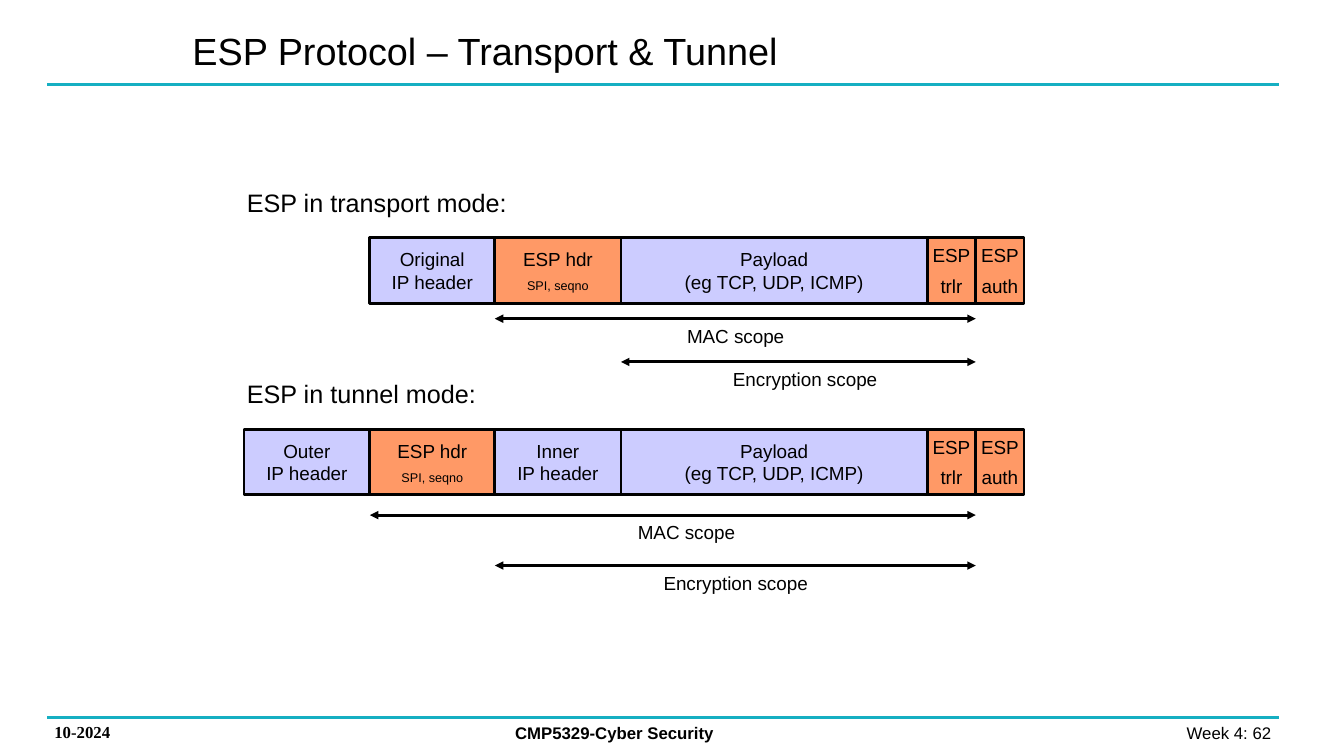
from pptx import Presentation
from pptx.dml.color import RGBColor
from pptx.enum.shapes import MSO_CONNECTOR, MSO_SHAPE
from pptx.enum.text import MSO_ANCHOR as Anchor, PP_ALIGN as Align
from pptx.oxml.ns import qn
from pptx.util import Cm, Pt
from lxml.etree import SubElement

BLACK = RGBColor(0x00, 0x00, 0x00)
TEAL = RGBColor(0x16, 0xAF, 0xC2)
ORANGE = RGBColor(0xFF, 0x99, 0x66)
LAVENDER = RGBColor(0xCC, 0xCC, 0xFF)

# Packet field boundaries, left to right, in cm
EDGES = [6.15, 9.32, 12.47, 15.65, 23.37, 24.59, 25.81]
FIELD_HEIGHT = 1.65
LABEL_WIDTH = 10.72

ESP_HEADER = (ORANGE, [("ESP hdr", 13.5, 0), ("SPI, seqno", 9, 5.2)])


def ip_header(kind):
    return LAVENDER, [(kind, 13.5, 0), ("IP header", 13.5, 0)]


def esp_end(kind):
    return ORANGE, [("ESP", 13.5, 0), (kind, 13.5, 5.4)]


PACKET_END = [
    (LAVENDER, [("Payload", 13.5, 0), ("(eg TCP, UDP, ICMP)", 13.5, 0)]),
    esp_end("trlr"),
    esp_end("auth"),
]

# Heading, top of the fields, first edge, fields,
# scopes (name, first edge, y, label centre)
MODES = [
    ("ESP in transport mode:", 5.99, 1,
     [ip_header("Original"), ESP_HEADER, *PACKET_END],
     [("MAC scope", 2, 8.03, 18.54), ("Encryption scope", 3, 9.12, 20.29)]),
    ("ESP in tunnel mode:", 10.82, 0,
     [ip_header("Outer"), ESP_HEADER, ip_header("Inner"), *PACKET_END],
     [("MAC scope", 1, 12.98, 17.3), ("Encryption scope", 2, 14.25, 18.54)]),
]


class SlideBuilder:
    def __init__(self, slide):
        self.slide = slide

    def set_lines(self, shape, lines, align, anchor, wrap=True, **font):
        """Fill a shape with lines of (text, size, space before)."""
        frame = shape.text_frame
        frame.word_wrap = wrap
        frame.vertical_anchor = anchor
        style = {"name": "Arial", "bold": False, **font}
        for index, (text, size, space) in enumerate(lines):
            paragraph = frame.add_paragraph() if index else frame.paragraphs[0]
            paragraph.alignment = align
            paragraph.space_before = Pt(space)
            run = paragraph.add_run()
            run.text = text
            run.font.color.rgb = BLACK
            for key, value in {**style, "size": Pt(size)}.items():
                setattr(run.font, key, value)

    def text(self, text, left, top, width, height, size,
             align=Align.LEFT, anchor=Anchor.TOP, **font):
        box = self.slide.shapes.add_textbox(
            Cm(left), Cm(top), Cm(width), Cm(height))
        self.set_lines(box, [(text, size, 0)], align, anchor, **font)

    def field(self, left, right, top, fill, lines):
        shape = self.slide.shapes.add_shape(
            MSO_SHAPE.RECTANGLE, Cm(left), Cm(top),
            Cm(right - left), Cm(FIELD_HEIGHT))
        shape.shadow.inherit = False
        shape.fill.solid()
        shape.fill.fore_color.rgb = fill
        shape.line.color.rgb = BLACK
        shape.line.width = Pt(2)
        self.set_lines(shape, lines, Align.CENTER, Anchor.MIDDLE, wrap=False)

    def line(self, left, right, y, color, width, arrows=False):
        connector = self.slide.shapes.add_connector(
            MSO_CONNECTOR.STRAIGHT, Cm(left), Cm(y), Cm(right), Cm(y))
        connector.line.color.rgb = color
        connector.line.width = Pt(width)
        properties = connector._element.spPr
        if arrows:
            outline = properties.find(qn("a:ln"))
            for end in ("a:headEnd", "a:tailEnd"):
                SubElement(outline, qn(end), type="triangle")
        SubElement(properties, qn("a:effectLst"))

    def scope(self, name, left, right, y, center):
        """Draw a double arrow with its name below."""
        self.line(left, right, y, BLACK, 2, arrows=True)
        self.text(name, center - LABEL_WIDTH / 2, y + 0.02,
                  LABEL_WIDTH, 0.84, 13.5, Align.CENTER)

    def mode(self, heading, top, first, fields, scopes):
        self.text(heading, 5.97, top - 1.4, 9.14, 1.02, 18)
        bounds = EDGES[first:]
        for left, right, (fill, lines) in zip(bounds, bounds[1:], fields):
            self.field(left, right, top, fill, lines)
        for name, start, y, center in scopes:
            self.scope(name, EDGES[start], EDGES[-2], y, center)


def main():
    presentation = Presentation()
    presentation.slide_width = Cm(33.87)
    presentation.slide_height = Cm(19.05)
    builder = SlideBuilder(
        presentation.slides.add_slide(presentation.slide_layouts[6]))

    for y in (2.13, 18.08):
        builder.line(1.19, 32.23, y, TEAL, 2.25)
    builder.text("10-2024", 1.12, 18.06, 4.52, 0.76, 12,
                 name="Times New Roman", bold=True)
    builder.text("CMP5329-Cyber Security", 12.73, 18.08, 10.39, 0.76, 12,
                 bold=True)
    builder.text("Week 4: 62", 24.94, 18.08, 7.35, 0.76, 12, Align.RIGHT)
    builder.text("ESP Protocol – Transport & Tunnel", 4.6, 0.36, 15.44, 1.8,
                 27, anchor=Anchor.MIDDLE)
    for mode in MODES:
        builder.mode(*mode)

    presentation.save("out.pptx")


if __name__ == "__main__":
    main()
